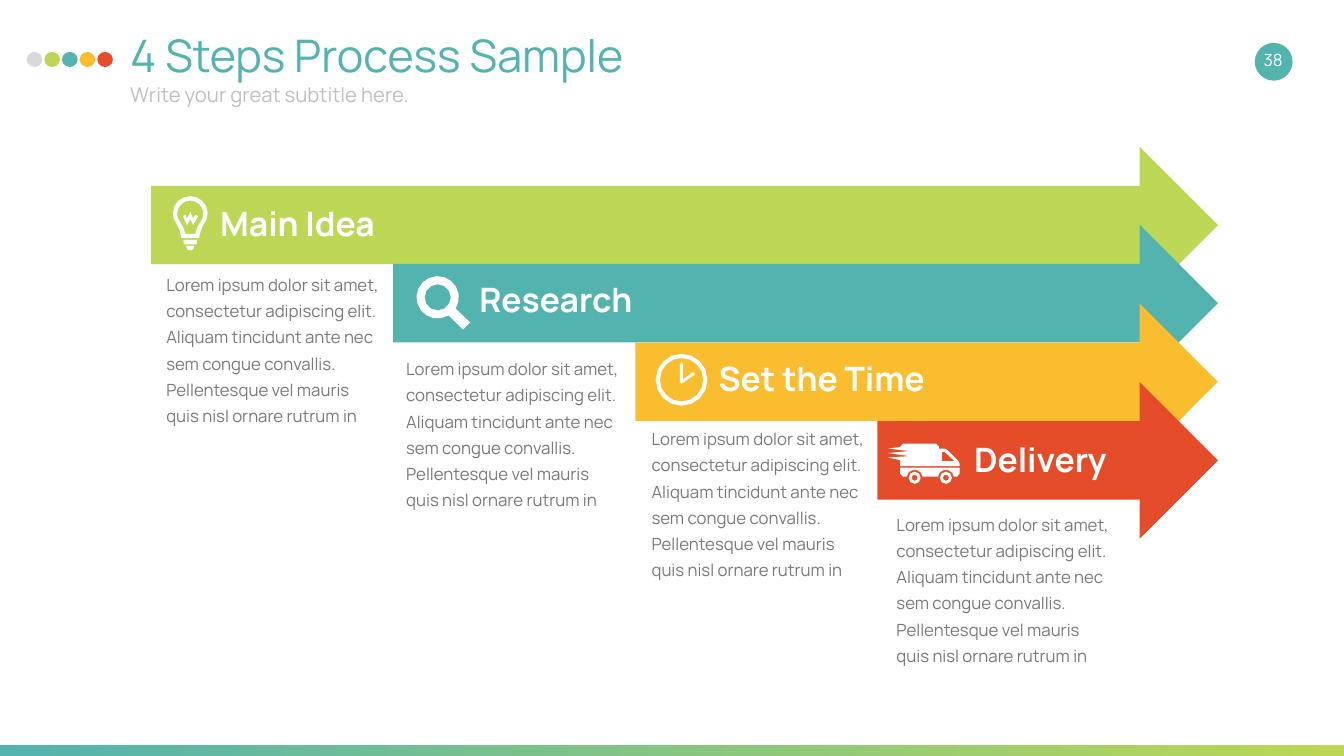
from math import cos, radians, sin

from pptx import Presentation
from pptx.dml.color import RGBColor
from pptx.enum.shapes import MSO_SHAPE
from pptx.enum.text import MSO_ANCHOR, MSO_AUTO_SIZE, PP_ALIGN
from pptx.util import Pt

PX = 9144
FINE = 10
FONT = "Manrope"
COLORS = {
    "teal": "52B3AF",
    "lime": "BBD755",
    "amber": "FABD30",
    "red": "E54C29",
    "silver": "D9D9D9",
    "subtitle": "BFBFBF",
    "body": "797979",
    "white": "FFFFFF",
}
BODY = (
    "Lorem ipsum dolor sit amet, consectetur adipiscing elit. Aliquam tincidunt ante nec "
    "sem congue convallis. Pellentesque vel mauris quis nisl ornare rutrum in"
)


def rgb(name):
    """Return the named palette colour."""
    return RGBColor.from_string(COLORS[name])


def place(shape, box):
    """Move a shape to a pixel box of left, top, width and height."""
    shape.left, shape.top, shape.width, shape.height = (length * PX for length in box)


def paint(shape, color):
    """Give a shape a plain fill without outline or shadow."""
    shape.shadow.inherit = False
    shape.line.fill.background()
    shape.fill.solid()
    shape.fill.fore_color.rgb = rgb(color)


def add_block(slide, kind, box, color):
    """Add a filled preset shape."""
    shape = slide.shapes.add_shape(kind, *(length * PX for length in box))
    paint(shape, color)
    return shape


def write(shape, text, size, color, bold=False, align=PP_ALIGN.LEFT,
          anchor=MSO_ANCHOR.MIDDLE, inset=13, spacing=None):
    """Set one formatted paragraph in a shape."""
    frame = shape.text_frame
    frame.word_wrap = True
    frame.auto_size = MSO_AUTO_SIZE.NONE
    frame.vertical_anchor = anchor
    frame.margin_left = frame.margin_right = 27 * PX
    frame.margin_top = frame.margin_bottom = inset * PX
    paragraph = frame.paragraphs[0]
    paragraph.alignment = align
    paragraph.space_before = Pt(0)
    if spacing:
        paragraph.line_spacing = spacing
    run = paragraph.add_run()
    run.text = text
    run.font.name = FONT
    run.font.size = Pt(size)
    run.font.bold = bold
    run.font.color.rgb = rgb(color)


def add_text(slide, box, *args, **kwargs):
    """Add a text box with one formatted paragraph."""
    write(slide.shapes.add_textbox(*(length * PX for length in box)), *args, **kwargs)


def arc(x, y, radius, start=0, end=360, steps=16):
    """Return points along an arc, with angles in degrees."""
    count = steps if end - start == 360 else steps + 1
    angles = [radians(start + (end - start) * step / steps) for step in range(count)]
    return [(x + radius * cos(angle), y + radius * sin(angle)) for angle in angles]


def bulb():
    """Return the contours of a light bulb."""
    return [
        [(26, 99), (43, 99), (40, 106), (35, 108), (29, 106)],
        [(22, 96), (47, 96), (48, 87), (21, 87)],
        arc(34.5, 34.5, 34.5, 138, 402, 12) + [(56, 67), (52, 83), (17, 83), (13, 67)],
        arc(34.5, 35, 26, 139, 401, 12) + [(48, 63), (45, 75), (25, 75), (21, 63)],
        [(40, 44), (35, 32), (28, 44), (25, 37), (20, 40), (28, 58), (35, 46), (40, 58),
         (50, 40), (45, 37)],
    ]


def magnifier():
    """Return the contours of a magnifying glass."""
    return [arc(42.5, 42, 42, 59, 392) + [(107, 92), (93, 106)], arc(42.5, 42, 26, steps=12)]


def clock():
    """Return the contours of a clock."""
    return [
        arc(51.5, 51.5, 51.5),
        arc(51.5, 51.5, 43),
        [(48, 20), (51, 17), (54, 20), (54, 51), (74, 37), (78, 38), (77, 42), (52, 59),
         (48, 57)],
    ]


def truck():
    """Return the contours of a speeding delivery truck."""
    wheels = [arc(x, 68, radius, steps=8) for x in (53, 115) for radius in (12, 6)]
    chassis = [(142, 48), (142, 60), (137, 66), *arc(115, 68, 16, -8, -172, 5),
               *arc(53, 68, 16, -8, -172, 5), (30, 66), (24, 60), (24, 48)]
    cargo = [(140, 35), (118, 13), (112, 10), (101, 10), (101, 6), (95, 0), (30, 0),
             (24, 7), (1, 10), (42, 15), (0, 19), (42, 25), (0, 28), (24, 33),
             (24, 45), (142, 45), (142, 40)]
    window = [(130, 35), (107, 35), (107, 17), (113, 17), (131, 34)]
    return wheels + [chassis, cargo, window]


def add_icon(slide, left, top, contours):
    """Draw white contours as one outline shape."""
    scaled = [[(x * FINE, y * FINE) for x, y in contour] for contour in contours]
    builder = slide.shapes.build_freeform(*scaled[0][0], scale=PX / FINE)
    for index, contour in enumerate(scaled):
        if index:
            builder.move_to(*contour[0])
        builder.add_line_segments(contour[1:], close=True)
    paint(builder.convert_to_shape(left * PX, top * PX), "white")


def add_header(slide, left, top):
    """Add the dots, title, subtitle and page number."""
    for index, color in enumerate(("silver", "lime", "teal", "amber", "red")):
        add_block(slide, MSO_SHAPE.OVAL, (left + 35 * index, top + 62, 31, 30), color)
    title, subtitle = slide.placeholders
    place(title, (left + 178, top, 2125, 160))
    write(title, "4 Steps Process Sample", 64, "teal", anchor=MSO_ANCHOR.TOP)
    place(subtitle, (left + 178, top + 109, 2125, 85))
    write(subtitle, "Write your great subtitle here.", 29, "subtitle", anchor=MSO_ANCHOR.TOP)
    add_block(slide, MSO_SHAPE.OVAL, (left + 2437, top + 44, 75, 75), "teal")
    add_text(slide, (left + 2415, top + 37, 117, 80), "38", 24, "white", align=PP_ALIGN.CENTER)


def add_footer(slide, box):
    """Add the gradient bar."""
    bar = add_block(slide, MSO_SHAPE.RECTANGLE, box, "teal")
    bar.fill.gradient()
    bar.fill.gradient_angle = 0
    for stop, color in zip(bar.fill.gradient_stops, ("teal", "lime")):
        stop.color.rgb = rgb(color)


def add_step(slide, box, color, label, contours, icon_at, label_at, label_width, body_at):
    """Add the icon, label and body text of one arrow."""
    left, top = box[:2]
    add_icon(slide, left + icon_at[0], top + icon_at[1], contours)
    add_text(slide, (left + label_at[0], top + label_at[1], label_width, 81), label, 48,
             "white", bold=True, inset=0)
    add_text(slide, (left + body_at[0], top + body_at[1], 487, 340), BODY, 24, "body",
             spacing=1.3)


def add_process(slide, left, top, right):
    """Add the staircase of overlapping arrows."""
    steps = [
        ("lime", "Main Idea", bulb(), (43, 98), (110, 112), 935, (3, 228)),
        ("teal", "Research", magnifier(), (46, 102), (144, 107), 935, (-1, 240)),
        ("amber", "Set the Time", clock(), (40, 100), (138, 107), 840, (5, 223)),
        ("red", "Delivery", truck(), (21, 122), (165, 112), 420, (11, 237)),
    ]
    boxes = []
    for index, step in enumerate(steps):
        x = left + round(480.33 * index)
        boxes.append((x, top + int(155.67 * index), right - x, 311))
        add_block(slide, MSO_SHAPE.RIGHT_ARROW, boxes[-1], step[0])
    for box, step in zip(boxes, steps):
        add_step(slide, box, *step)


def main():
    """Build and save the presentation."""
    presentation = Presentation()
    presentation.slide_width, presentation.slide_height = 2667 * PX, 1500 * PX
    slide = presentation.slides.add_slide(presentation.slide_layouts[0])
    add_footer(slide, (0, 1479, 2667, 21))
    add_header(slide, 53, 41)
    add_process(slide, 300, 291, 2417)
    presentation.save("out.pptx")


if __name__ == "__main__":
    main()
